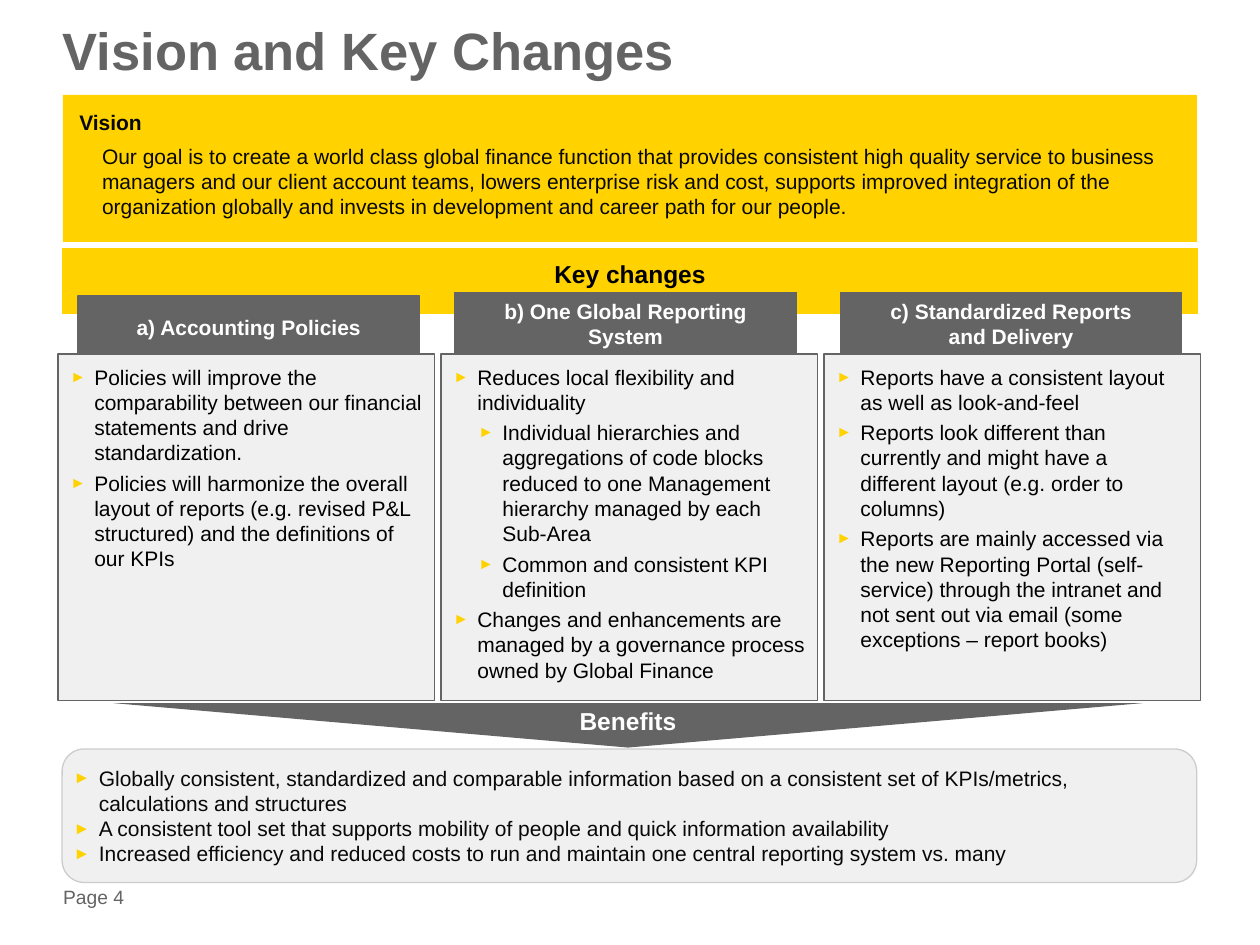
from dataclasses import dataclass
from typing import Optional

from lxml import etree
from pptx import Presentation
from pptx import util as u
from pptx.dml.color import RGBColor
from pptx.enum import shapes, text
from pptx.oxml.ns import qn

Pt = u.Pt
SHAPE = shapes.MSO_SHAPE
ALIGN = text.PP_ALIGN
ANCHOR = text.MSO_ANCHOR


@dataclass(frozen=True)
class Theme:
    font: str = "Arial"
    yellow: str = "FFD200"
    grey: str = "646464"
    panel: str = "F0F0F0"
    outline: str = "CCCCCC"
    white: str = "FFFFFF"
    black: str = "000000"
    ink: str = "080808"
    title: float = 30
    heading: float = 14
    body: float = 12
    footer: float = 11


THEME = Theme()


@dataclass(frozen=True)
class Area:
    left: float
    top: float
    width: float
    height: float


@dataclass(frozen=True)
class Style:
    color: str
    size: float = THEME.body
    bold: bool = False
    align: ALIGN = ALIGN.LEFT
    anchor: ANCHOR = ANCHOR.TOP
    insets: tuple[float, float, float, float] = (0, 0, 0, 0)
    wrap: bool = True


@dataclass(frozen=True)
class Item:
    """One paragraph; hang is the first-line offset from the margin."""
    words: str
    margin: float = 0
    hang: float = 0
    bullet: int = 0  # bullet size in percent, 0 for none
    after: float = 0
    bold: Optional[bool] = None
    spacing: Optional[float] = None


@dataclass(frozen=True)
class Column:
    tab: Area
    heading: list[str]
    points: list[tuple[int, str]]  # (level, words)


COLUMNS = [
    Column(Area(44.6, 169.2, 195.2, 36), ["a) Accounting Policies"], [
        (0, "Policies will improve the comparability between our financial "
            "statements and drive standardization."),
        (0, "Policies will harmonize the overall layout of reports (e.g. revised "
            "P&L structured) and the definitions of our KPIs"),
    ]),
    Column(Area(259.9, 167, 195.2, 36), ["b) One Global Reporting System"], [
        (0, "Reduces local flexibility and individuality"),
        (1, "Individual hierarchies and aggregations of code blocks reduced to "
            "one Management hierarchy managed by each Sub-Area"),
        (1, "Common and consistent KPI definition"),
        (0, "Changes and enhancements are managed by a governance process owned "
            "by Global Finance"),
    ]),
    Column(Area(480.2, 167, 195.2, 36),
           ["c) Standardized Reports", "and Delivery"], [
        (0, "Reports have a consistent layout as well as look-and-feel"),
        (0, "Reports look different than currently and might have a different "
            "layout (e.g. order to columns)"),
        (0, "Reports are mainly accessed via the new Reporting Portal "
            "(self-service) through the intranet and not sent out via email "
            "(some exceptions – report books)"),
    ]),
]

BENEFITS = [
    "Globally consistent, standardized and comparable information based on a "
    "consistent set of KPIs/metrics, calculations and structures",
    "A consistent tool set that supports mobility of people and quick "
    "information availability",
    "Increased efficiency and reduced costs to run and maintain one central "
    "reporting system vs. many",
]


def set_indent(para, item: Item) -> None:
    """Sets margin, first-line offset and bullet, which lack public methods."""
    props = para._p.get_or_add_pPr()
    props.set("marL", str(Pt(item.margin)))
    props.set("indent", str(Pt(item.hang)))
    if item.bullet:
        color = etree.SubElement(props, qn("a:buClr"))
        etree.SubElement(color, qn("a:srgbClr"), val=THEME.yellow)
        etree.SubElement(props, qn("a:buSzPct"), val=str(item.bullet * 1000))
        etree.SubElement(props, qn("a:buFont"), typeface=THEME.font)
        etree.SubElement(props, qn("a:buChar"), char="►")


def write(box, items: list[Item], style: Style) -> None:
    frame = box.text_frame
    frame.word_wrap = style.wrap
    frame.vertical_anchor = style.anchor
    (frame.margin_left, frame.margin_top,
     frame.margin_right, frame.margin_bottom) = map(Pt, style.insets)
    for index, item in enumerate(items):
        para = frame.add_paragraph() if index else frame.paragraphs[0]
        para.text = item.words
        set_indent(para, item)
        para.alignment = style.align
        para.space_after = Pt(item.after)
        if item.spacing:
            para.line_spacing = item.spacing
        para.font.name = THEME.font
        para.font.size = Pt(style.size)
        para.font.bold = style.bold if item.bold is None else item.bold
        para.font.color.rgb = RGBColor.from_string(style.color)


def place(area: Area) -> list[u.Length]:
    return [Pt(v) for v in (area.left, area.top, area.width, area.height)]


def add_label(page, area: Area, item: Item, style: Style) -> None:
    write(page.shapes.add_textbox(*place(area)), [item], style)


def add_panel(page, kind: SHAPE, area: Area, fill: str, line: Optional[str],
              items: list[Item], style: Style) -> None:
    box = page.shapes.add_shape(kind, *place(area))
    box.shadow.inherit = False
    box.fill.solid()
    box.fill.fore_color.rgb = RGBColor.from_string(fill)
    if line:
        box.line.color.rgb = RGBColor.from_string(line)
        box.line.width = Pt(0.75)
    else:
        box.line.fill.background()
    write(box, items, style)


def add_column(page, index: int, column: Column) -> None:
    body = Area(33.1 + index * 218.9, 202.3, 215.3, 198)
    points = [Item(words, 13.7 + level * 14.3, -13.7, 75, after=3)
              for level, words in column.points]
    add_panel(page, SHAPE.RECTANGLE, column.tab, THEME.grey, THEME.grey,
              [Item(words) for words in column.heading],
              Style(THEME.white, bold=True, align=ALIGN.CENTER,
                    anchor=ANCHOR.MIDDLE, insets=(5.76, 2.88, 5.76, 2.88)))
    add_panel(page, SHAPE.RECTANGLE, body, THEME.panel, THEME.grey, points,
              Style(THEME.black, insets=(7.2, 5.76, 7.2, 3.6)))


def main() -> None:
    deck = Presentation()
    deck.slide_width, deck.slide_height = Pt(720), Pt(540)
    page = deck.slides.add_slide(deck.slide_layouts[6])

    add_label(page, Area(36, 504.7, 57, 16), Item("Page 4"),
              Style(THEME.grey, THEME.footer, anchor=ANCHOR.MIDDLE))
    add_label(page, Area(36, 15.8, 648, 67.7),
              Item("Vision and Key Changes", spacing=0.85),
              Style(THEME.grey, THEME.title, bold=True))

    vision = [
        Item("Vision", hang=0.7, after=4.8, bold=True),
        Item("Our goal is to create a world class global finance function that "
             "provides consistent high quality service to business managers and "
             "our client account teams, lowers enterprise risk and cost, supports "
             "improved integration of the organization globally and invests in "
             "development and career path for our people.", margin=13.7),
    ]
    add_panel(page, SHAPE.RECTANGLE, Area(36, 54.2, 648, 84), THEME.yellow, None,
              vision, Style(THEME.ink, insets=(8.64, 8.64, 14.4, 3.6)))
    add_panel(page, SHAPE.RECTANGLE, Area(35.8, 142, 648.5, 37), THEME.yellow,
              THEME.yellow, [Item("Key changes")],
              Style(THEME.black, THEME.heading, True, ALIGN.CENTER,
                    insets=(5.76, 5.76, 5.76, 3.6)))
    for index, column in enumerate(COLUMNS):
        add_column(page, index, column)
    add_panel(page, SHAPE.FLOWCHART_MERGE, Area(64.8, 401.8, 588.2, 25.4),
              THEME.grey, None, [Item("Benefits")],
              Style(THEME.white, THEME.heading, True, ALIGN.CENTER,
                    ANCHOR.MIDDLE, (7.2, 11.52, 7.2, 3.6), wrap=False))
    add_panel(page, SHAPE.ROUNDED_RECTANGLE, Area(35.5, 428, 648.3, 76.3),
              THEME.panel, THEME.outline,
              [Item(words, 14.4, -14.4, 80) for words in BENEFITS],
              Style(THEME.ink, anchor=ANCHOR.MIDDLE,
                    insets=(2.88, 3.6, 2.88, 3.6)))
    deck.save("out.pptx")


if __name__ == "__main__":
    main()
